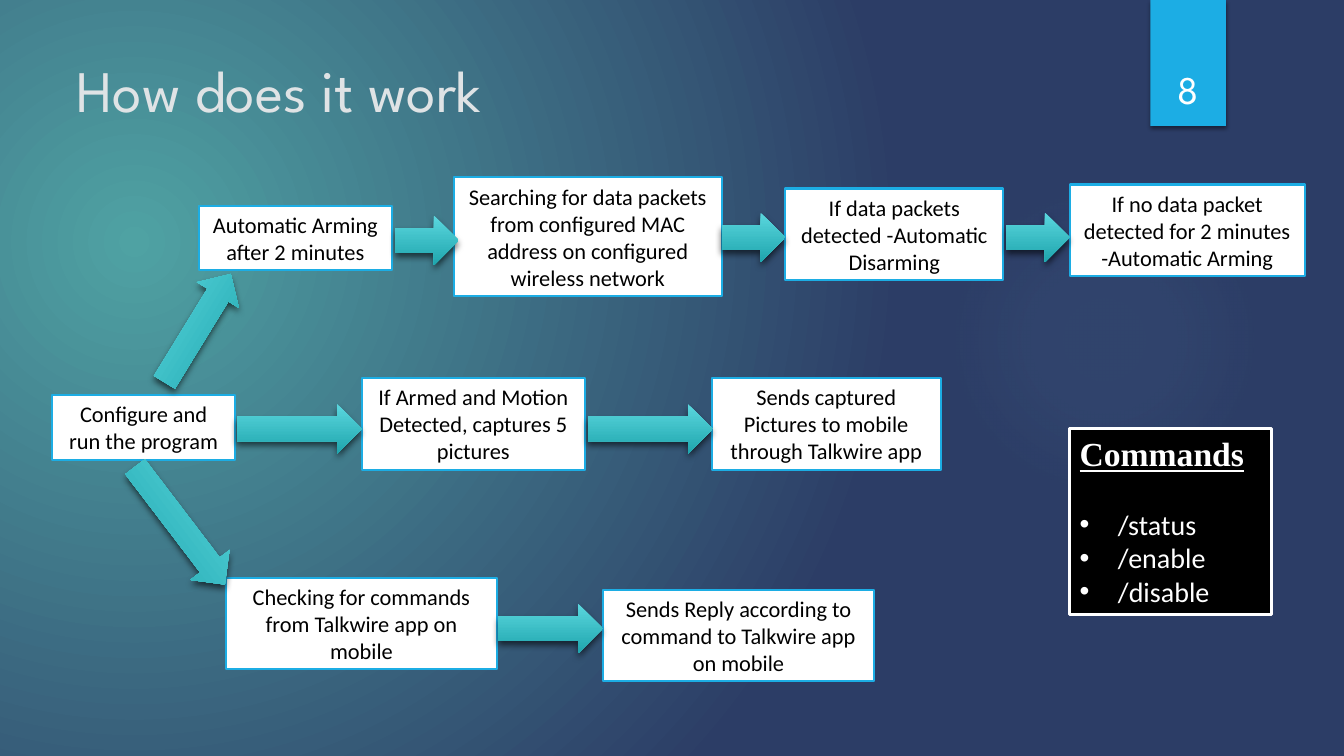
from dataclasses import dataclass
from typing import Any

from lxml import etree
from pptx import Presentation
from pptx.dml.color import RGBColor
from pptx.enum.shapes import MSO_SHAPE
from pptx.enum.text import MSO_ANCHOR, MSO_AUTO_SIZE, PP_ALIGN
from pptx.oxml.ns import qn
from pptx.util import Inches, Pt

RECTANGLE, ELLIPSE, RIGHT_ARROW = MSO_SHAPE.RECTANGLE, MSO_SHAPE.OVAL, MSO_SHAPE.RIGHT_ARROW
LEFT, CENTER = PP_ALIGN.LEFT, PP_ALIGN.CENTER
TOP, MIDDLE, BOTTOM = MSO_ANCHOR.TOP, MSO_ANCHOR.MIDDLE, MSO_ANCHOR.BOTTOM
GROW, NO_FIT = MSO_AUTO_SIZE.SHAPE_TO_FIT_TEXT, MSO_AUTO_SIZE.NONE

ACCENT, WHITE, BLACK, GLOW = "1CADE4", "FFFFFF", "000000", "70A1C0"
TITLE_FONT, BODY_FONT, HEADING_FONT = "League Spartan", "Calibri", "Times New Roman"
ARROW_HEIGHT = 0.49


@dataclass(frozen=True)
class Box:
    left: float
    top: float
    width: float
    height: float


@dataclass(frozen=True)
class Step:
    text: str
    box: Box


@dataclass(frozen=True)
class Arrow:
    left: float
    top: float
    width: float
    rotation: float = 0


@dataclass(frozen=True)
class Stop:
    position: int
    color: str
    alpha: int = 100


@dataclass(frozen=True)
class Shadow:
    alpha: int
    blur: float
    distance: float


STEPS = [
    Step("Configure and run the program", Box(0.52, 3.92, 1.81, 0.64)),
    Step("If Armed and Motion Detected, captures 5 pictures", Box(3.59, 3.75, 2.21, 0.91)),
    Step("Searching for data packets from configured MAC address on configured wireless network",
         Box(4.5, 1.76, 2.66, 1.18)),
    Step("Automatic Arming\nafter 2 minutes", Box(1.97, 2.04, 1.92, 0.64)),
    Step("If no data packet detected for 2 minutes -Automatic Arming", Box(10.61, 1.83, 2.33, 0.91)),
    Step("If data packets detected -Automatic Disarming", Box(7.79, 1.87, 2.16, 0.91)),
    Step("Checking for commands from Talkwire app on mobile", Box(2.24, 5.73, 2.69, 0.91)),
    Step("Sends captured Pictures to mobile through Talkwire app", Box(7.06, 3.75, 2.27, 0.91)),
    Step("Sends Reply according to command to Talkwire app on mobile", Box(5.98, 5.85, 2.69, 0.91)),
]
ARROWS = [
    Arrow(1.33, 3.01, 1.26, 301.5),
    Arrow(3.92, 2.14, 0.63),
    Arrow(7.16, 2.11, 0.63),
    Arrow(9.98, 2.11, 0.63),
    Arrow(5.83, 4.01, 1.24),
    Arrow(2.35, 4.01, 1.24),
    Arrow(4.94, 5.99, 1.04),
    Arrow(1.05, 4.97, 1.47, 52.7),
]
COMMANDS = ["/status", "/enable", "/disable"]


def rgb(color: str) -> RGBColor:
    return RGBColor.from_string(color)


def add_element(parent: Any, tag: str, **attributes: Any) -> Any:
    values = {name: str(value) for name, value in attributes.items()}
    return etree.SubElement(parent, qn(tag), values)


def add_color(parent: Any, color: str, alpha: int) -> None:
    element = add_element(parent, "a:srgbClr", val=color)
    if alpha < 100:
        add_element(element, "a:alpha", val=alpha * 1000)


def fill_gradient(owner: Any, fill: Any, stops: list[Stop],
                  focus: tuple[int, int, int, int] | None = None) -> None:
    fill.solid()
    solid = owner.find(".//" + qn("a:solidFill"))
    gradient = etree.Element(qn("a:gradFill"), {"rotWithShape": "1"})
    stop_list = add_element(gradient, "a:gsLst")
    for stop in stops:
        add_color(add_element(stop_list, "a:gs", pos=stop.position * 1000), stop.color, stop.alpha)
    if focus:
        path = add_element(gradient, "a:path", path="circle")
        edges = {edge: value * 1000 for edge, value in zip("ltrb", focus)}
        add_element(path, "a:fillToRect", **edges)
    else:
        add_element(gradient, "a:lin", ang=90 * 60000, scaled=0)
    solid.getparent().replace(solid, gradient)


def add_shape(slide: Any, kind: Any, box: Box, fill: str | None = None, line: str | None = None,
              line_width: float = 0, shadow: Shadow | None = None) -> Any:
    shape = slide.shapes.add_shape(kind, Inches(box.left), Inches(box.top),
                                   Inches(box.width), Inches(box.height))
    shape.shadow.inherit = False
    if fill:
        shape.fill.solid()
        shape.fill.fore_color.rgb = rgb(fill)
    if line:
        shape.line.color.rgb = rgb(line)
        shape.line.width = Pt(line_width)
    else:
        shape.line.fill.background()
    if shadow:
        effects = shape._element.spPr.find(qn("a:effectLst"))
        outer = add_element(effects, "a:outerShdw", blurRad=Pt(shadow.blur), dist=Pt(shadow.distance),
                            dir=90 * 60000, algn="ctr", rotWithShape=0)
        add_color(outer, BLACK, shadow.alpha)
    return shape


def format_paragraph(paragraph: Any, font: str, size: float, color: str, align: Any = CENTER) -> None:
    paragraph.alignment = align
    for run in paragraph.runs:
        run.font.name = font
        run.font.size = Pt(size)
        run.font.color.rgb = rgb(color)


def prepare_frame(shape: Any, text: str, anchor: Any, fit: Any) -> Any:
    frame = shape.text_frame
    frame.text = text
    frame.word_wrap = True
    frame.auto_size = fit
    frame.vertical_anchor = anchor
    return frame


def add_title(slide: Any) -> None:
    title = slide.shapes.title
    title.left, title.top = Inches(0.66), Inches(0.48)
    title.width, title.height = Inches(10.29), Inches(1.53)
    frame = prepare_frame(title, "How does it work", TOP, NO_FIT)
    format_paragraph(frame.paragraphs[0], TITLE_FONT, 42, "DFE3E5", LEFT)


def add_page_tab(slide: Any) -> None:
    add_shape(slide, RECTANGLE, Box(11.41, 0, 0.75, 1.25), ACCENT, shadow=Shadow(45, 3, 2))
    number = slide.shapes.add_textbox(Inches(11.32), Inches(0.32), Inches(0.92), Inches(0.84))
    frame = prepare_frame(number, "8", BOTTOM, NO_FIT)
    format_paragraph(frame.paragraphs[0], TITLE_FONT, 28, WHITE)


def add_step(slide: Any, step: Step) -> None:
    shape = add_shape(slide, RECTANGLE, step.box, WHITE, ACCENT, 1.5)
    for paragraph in prepare_frame(shape, step.text, MIDDLE, GROW).paragraphs:
        format_paragraph(paragraph, BODY_FONT, 16, BLACK)


def add_commands(slide: Any) -> None:
    panel = add_shape(slide, RECTANGLE, Box(10.61, 4.25, 2, 1.85), BLACK, WHITE, 2.25)
    frame = prepare_frame(panel, "\n".join(["Commands", *COMMANDS]), TOP, GROW)
    heading, *items = frame.paragraphs
    format_paragraph(heading, HEADING_FONT, 24, WHITE, LEFT)
    heading.runs[0].font.bold = True
    heading.runs[0].font.underline = True
    heading.space_after = Pt(24)
    for item in items:
        format_paragraph(item, BODY_FONT, 20, WHITE, LEFT)
        properties = item._p.get_or_add_pPr()
        properties.set("marL", str(Inches(0.38)))
        properties.set("indent", str(Inches(-0.38)))
        add_element(properties, "a:buFont", typeface="Arial")
        add_element(properties, "a:buChar", char="•")


def add_arrow(slide: Any, arrow: Arrow) -> None:
    box = Box(arrow.left, arrow.top, arrow.width, ARROW_HEIGHT)
    shape = add_shape(slide, RIGHT_ARROW, box, shadow=Shadow(60, 5, 3))
    fill_gradient(shape._element, shape.fill, [Stop(0, "5AD7DE"), Stop(100, "1FA5AD")])
    shape.rotation = arrow.rotation


def main() -> None:
    presentation = Presentation()
    presentation.slide_width, presentation.slide_height = Inches(13.33), Inches(7.5)
    slide = presentation.slides.add_slide(presentation.slide_layouts[5])
    fill_gradient(slide._element, slide.background.fill,
                  [Stop(0, "4FA2A3"), Stop(100, "2C3D66")], (45, 65, 125, 100))
    glow = add_shape(slide, ELLIPSE, Box(9.41, 1.83, 3.08, 3.08))
    fill_gradient(glow._element, glow.fill,
                  [Stop(0, GLOW, 7), Stop(36, GLOW, 6), Stop(69, GLOW, 0)], (50, 50, 50, 50))
    add_title(slide)
    add_page_tab(slide)
    for step in STEPS:
        add_step(slide, step)
    add_commands(slide)
    for arrow in ARROWS:
        add_arrow(slide, arrow)
    presentation.save("out.pptx")


if __name__ == "__main__":
    main()
